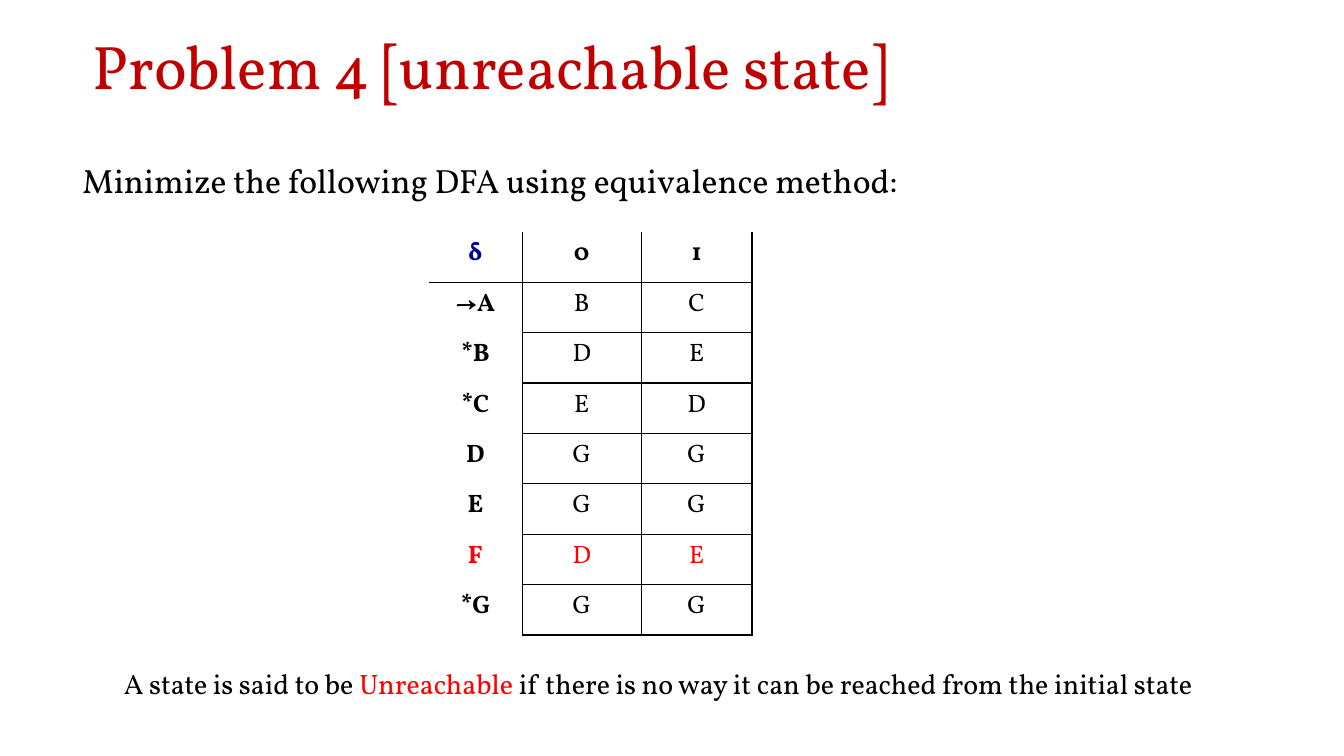
from dataclasses import dataclass

from lxml import etree
from pptx import Presentation
from pptx import util as u
from pptx.dml.color import RGBColor
from pptx.enum import text
from pptx.oxml.ns import qn

FONT = "Vollkorn"
BLACK, RED, DARK_RED, NAVY = "000000", "FF0000", "C00000", "000099"


@dataclass
class Run:
    words: str
    color: str = BLACK
    bold: bool = False


@dataclass
class Box:
    left: float
    top: float
    width: float
    height: float
    size: float
    runs: list[Run]


@dataclass
class State:
    label: str
    on_zero: str
    on_one: str
    color: str = BLACK


TITLE = Box(2.08, -0.08, 29.21, 3.68, 44, [Run("Problem 4 [unreachable state]", DARK_RED)])
NOTES = [
    Box(1.83, 3.91, 22.71, 1.27, 24,
        [Run("Minimize the following DFA using equivalence method:")]),
    Box(2.87, 16.66, 28.09, 1.12, 20,
        [Run("A state is said to be "), Run("Unreachable", RED),
         Run(" if there is no way it can be reached from the initial state")]),
]
STATES = [
    State("→A", "B", "C"),
    State("*B", "D", "E"),
    State("*C", "E", "D"),
    State("D", "G", "G"),
    State("E", "G", "G"),
    State("F", "D", "E", RED),
    State("*G", "G", "G"),
]
COLUMN_WIDTHS = [2.36, 3, 2.79]
ROW_HEIGHT = 1.27


def rgb(value: str) -> RGBColor:
    return RGBColor.from_string(value)


def add_runs(p, runs: list[Run], size: float) -> None:
    for run in runs:
        r = p.add_run()
        r.text = run.words
        r.font.name = FONT
        r.font.size = u.Pt(size)
        r.font.bold = run.bold
        r.font.color.rgb = rgb(run.color)


def fill_box(sp, box: Box) -> None:
    sp.left, sp.top = u.Cm(box.left), u.Cm(box.top)
    sp.width, sp.height = u.Cm(box.width), u.Cm(box.height)
    tf = sp.text_frame
    tf.word_wrap = True
    p = tf.paragraphs[0]
    p.alignment = text.PP_ALIGN.LEFT
    add_runs(p, box.runs, box.size)


def add_title(s, box: Box) -> None:
    sp = s.shapes.title
    fill_box(sp, box)
    tf = sp.text_frame
    tf.auto_size = text.MSO_AUTO_SIZE.NONE
    tf.vertical_anchor = text.MSO_ANCHOR.MIDDLE
    tf.paragraphs[0].line_spacing = 0.9


def add_note(s, box: Box) -> None:
    sp = s.shapes.add_textbox(0, 0, 0, 0)
    fill_box(sp, box)
    sp.text_frame.auto_size = text.MSO_AUTO_SIZE.SHAPE_TO_FIT_TEXT


def set_borders(cell, sides: str) -> None:
    tc_pr = cell._tc.get_or_add_tcPr()
    for side in "LRTB":
        ln = etree.SubElement(tc_pr, qn(f"a:ln{side}"), w=str(u.Pt(1)))
        if side in sides:
            fill = etree.SubElement(ln, qn("a:solidFill"))
            etree.SubElement(fill, qn("a:srgbClr"), val=BLACK)
        else:
            etree.SubElement(ln, qn("a:noFill"))


def visible_sides(row: int, column: int) -> str:
    if row == 0:
        return "RB" if column == 0 else "LRB"
    if column == 0:
        return "RT" if row == 1 else "R"
    return "LRTB"


def add_transition_table(s, left: float, top: float) -> None:
    rows = [[Run("δ", NAVY, True), Run("0", bold=True), Run("1", bold=True)]]
    rows += [[Run(st.label, st.color, True), Run(st.on_zero, st.color), Run(st.on_one, st.color)]
             for st in STATES]
    table = s.shapes.add_table(
        len(rows), len(COLUMN_WIDTHS), u.Cm(left), u.Cm(top),
        u.Cm(sum(COLUMN_WIDTHS)), u.Cm(ROW_HEIGHT * len(rows))).table
    table.first_row = table.horz_banding = False
    for column, width in zip(table.columns, COLUMN_WIDTHS):
        column.width = u.Cm(width)
    for i, runs in enumerate(rows):
        table.rows[i].height = u.Cm(ROW_HEIGHT)
        for j, run in enumerate(runs):
            cell = table.cell(i, j)
            set_borders(cell, visible_sides(i, j))
            cell.fill.background()
            p = cell.text_frame.paragraphs[0]
            p.alignment = text.PP_ALIGN.CENTER
            add_runs(p, [run], 18)


def main() -> None:
    prs = Presentation()
    prs.slide_width, prs.slide_height = u.Cm(33.87), u.Cm(19.05)
    s = prs.slides.add_slide(prs.slide_layouts[5])
    add_title(s, TITLE)
    for note in NOTES:
        add_note(s, note)
    add_transition_table(s, 10.8, 5.84)
    prs.save("out.pptx")


if __name__ == "__main__":
    main()
